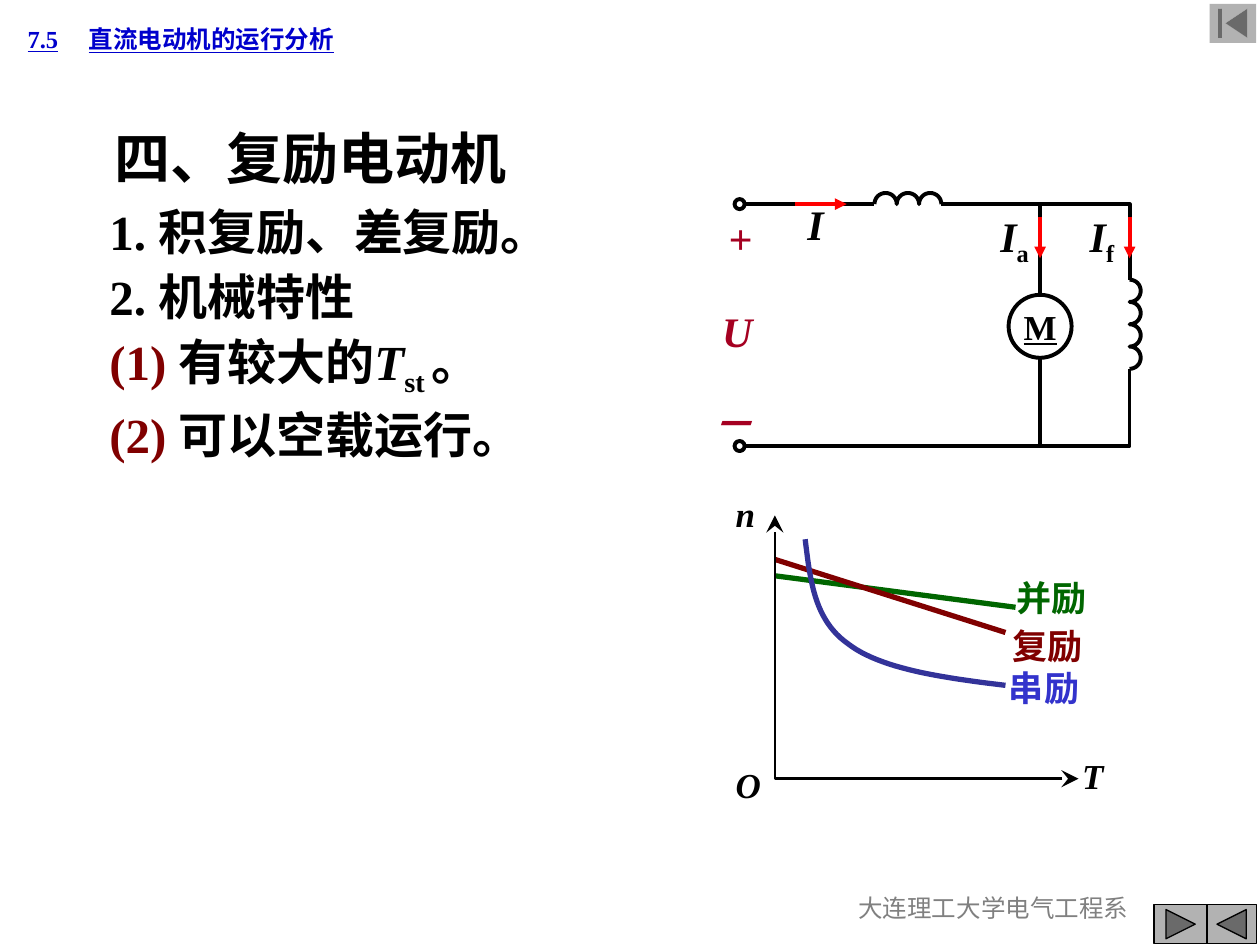
from math import cos, pi, sin

from lxml.etree import SubElement
from pptx import Presentation
from pptx.dml.color import RGBColor
from pptx.enum.shapes import MSO_CONNECTOR, MSO_SHAPE
from pptx.enum.text import MSO_ANCHOR, PP_ALIGN
from pptx.oxml.ns import qn
from pptx.util import Emu, Pt

COLS, ROWS = 100, 75
WIDE, HIGH = 9144000, 6858000
FACE = "Times New Roman"
HUES = {
    "ink": "000000", "link": "0000CC", "gray": "808080", "key": "B2B2B2",
    "mark": "800000", "volt": "A50021", "flow": "FF0000", "paper": "FFFFFF",
    "shunt": "006600", "curve": "333399", "series": "3333CC",
}


def hue(name):
    """Return a named colour."""
    return RGBColor.from_string(HUES[name])


def across(n):
    """Turn columns into a length."""
    return Emu(round(n * WIDE / COLS))


def down(n):
    """Turn rows into a length."""
    return Emu(round(n * HIGH / ROWS))


def frame(box):
    """Turn a grid box into lengths."""
    x, y, w, h = box
    return across(x), down(y), across(w), down(h)


def shift(box, x, y, w, h):
    """Place a part relative to a region."""
    return box[0] + x, box[1] + y, w, h


def style(font, size, tint, bold=True, slant=False, under=False):
    """Set the look of a font."""
    font.name, font.size, font.bold = FACE, Pt(size), bold
    font.italic, font.underline = slant, under
    font.color.rgb = hue(tint)


def write(text, lines, size, tint, gap=0, align=PP_ALIGN.LEFT, tab=None, **look):
    """Fill a text frame with lines of (words, traits) runs."""
    for n, line in enumerate(lines):
        para = text.paragraphs[0] if n == 0 else text.add_paragraph()
        para.alignment = align
        para.space_before = Pt(gap if n else 0)
        if tab:
            stops = SubElement(para._p.get_or_add_pPr(), qn("a:tabLst"))
            SubElement(stops, qn("a:tab"), pos=str(across(tab)), algn="l")
        style(para.font, size, tint, **look)
        for words, traits in line:
            run = para.add_run()
            run.text = words
            if "i" in traits:
                run.font.italic = True
            if "m" in traits:
                run.font.color.rgb = hue("mark")
            if "s" in traits:
                run._r.get_or_add_rPr().set("baseline", "-25000")


def note(slide, box, lines, size, tint, wrap=False, **look):
    """Add a text box."""
    if isinstance(lines, str):
        lines = [[(lines, "")]]
    text = slide.shapes.add_textbox(*frame(box)).text_frame
    text.word_wrap = wrap
    write(text, lines, size, tint, **look)
    return text


def tip(line, end, kind, size="med"):
    """Put an arrowhead on a line."""
    SubElement(line._get_or_add_ln(), qn("a:" + end), type=kind, w=size, len=size)


def trace(slide, box, points, tint="ink", width=2.25):
    """Draw an open outline through points of a region."""
    spots = [(across(box[0] + x), down(box[1] + y)) for x, y in points]
    pen = slide.shapes.build_freeform(*spots[0])
    pen.add_line_segments(spots[1:], close=False)
    shape = pen.convert_to_shape()
    shape.shadow.inherit = False
    shape.fill.background()
    shape.line.color.rgb, shape.line.width = hue(tint), Pt(width)
    return shape


def link(slide, box, start, end, tint, width, head=None):
    """Draw a straight line in a region."""
    line = slide.shapes.add_connector(
        MSO_CONNECTOR.STRAIGHT,
        across(box[0] + start[0]), down(box[1] + start[1]),
        across(box[0] + end[0]), down(box[1] + end[1]))
    line.line.color.rgb, line.line.width = hue(tint), Pt(width)
    SubElement(line._element.spPr, qn("a:effectLst"))
    if head:
        tip(line.line, "tailEnd", head)


def ring(slide, box, fill=None):
    """Draw a black circle."""
    shape = slide.shapes.add_shape(MSO_SHAPE.OVAL, *frame(box))
    shape.shadow.inherit = False
    shape.line.color.rgb, shape.line.width = hue("ink"), Pt(2.25)
    if fill:
        shape.fill.solid()
        shape.fill.fore_color.rgb = hue(fill)
    else:
        shape.fill.background()
    return shape


def coil(x, y, turns, size, upright):
    """List the points of a row of half circles."""
    spots, steps = [], 16
    for n in range(turns):
        for k in range(steps + 1):
            turn = pi * k / steps
            along = size * (n + (1 - cos(turn)) / 2)
            out = size * sin(turn) / 2
            spots.append((x + out, y + along) if upright else (x + along, y - out))
    return spots


def bend(a, b, c, d, steps=24):
    """List the points of a cubic curve."""
    def at(t, i):
        s = 1 - t
        return s**3 * a[i] + 3 * s * s * t * b[i] + 3 * s * t * t * c[i] + t**3 * d[i]
    return [(at(k / steps, 0), at(k / steps, 1)) for k in range(steps + 1)]


def outline(slide, box):
    """Place the heading and the numbered points."""
    title = slide.shapes.title
    title.left, title.top, title.width, title.height = frame(shift(box, 0.4, 0, 35.2, 6.4))
    title.text_frame.vertical_anchor = MSO_ANCHOR.TOP
    write(title.text_frame, [[("四、复励电动机", "")]], 32, "ink")
    note(slide, shift(box, 0, 6.2, 40.9, 21.8), [
        [("1. 积复励、差复励。", "")],
        [("2. 机械特性", "")],
        [("(1) ", "m"), ("有较大的", ""), ("T", "i"), ("st ", "s"), ("。", "")],
        [("(2) ", "m"), ("可以空载运行。", "")],
    ], 28, "ink", wrap=True, gap=3.5)


def circuit(slide, box):
    """Place the compound motor circuit."""
    top, base, mid, side = 1.2, 20.4, 27.55, 34.65
    turn = 1.77
    lead, start = 14.4, 7.2
    wires = [
        [(4.1, top), (lead, top)],
        coil(lead, top, 3, turn, False),
        [(lead + 3 * turn, top), (side, top), (side, start)],
        coil(side, start, 4, turn, True),
        [(side, start + 4 * turn), (side, base), (4.1, base)],
        [(mid, top), (mid, base)],
    ]
    for wire in wires:
        trace(slide, box, wire)
    for row in (top, base):
        ring(slide, shift(box, 3.3, row - 0.4, 0.8, 0.8))
    motor = ring(slide, shift(box, mid - 2.5, 8.4, 5, 5), "paper").text_frame
    motor.word_wrap, motor.vertical_anchor = False, MSO_ANCHOR.MIDDLE
    write(motor, [[("M", "")]], 20, "ink", align=PP_ALIGN.CENTER, under=True)
    link(slide, box, (8.1, top), (12.2, top), "flow", 2.25, "triangle")
    for col, left, sub in ((mid, 23.4, "a"), (side, 30.5, "f")):
        link(slide, box, (col, 2.2), (col, 5.5), "flow", 2.25, "triangle")
        note(slide, shift(box, left, 1.2, 4.5, 5.6), [[("I", "i"), (sub, "s")]],
             24, "ink", wrap=True)
    note(slide, shift(box, 8.1, 0.3, 3.3, 5), "I", 24, "ink", slant=True)
    note(slide, shift(box, 0.4, 1.4, 5.3, 19.7), [[(sign, "")] for sign in "+U－"],
         24, "volt", gap=24, align=PP_ALIGN.RIGHT, slant=True)


def graph(slide, box):
    """Place the speed and torque curves."""
    link(slide, box, (4.5, 6.7), (23.6, 9.2), "shunt", 3)
    link(slide, box, (4.5, 5.4), (22.8, 11.2), "mark", 3)
    knee = (10.3, 12.1)
    trace(slide, box, bend((6.9, 3.8), (7.3, 7), (7.6, 10.2), knee)
          + bend(knee, (12.9, 14.1), (17.8, 14.8), (22.8, 15.4))[1:], "curve", 3)
    axes = trace(slide, box, [(28.6, 22.8), (4.5, 22.8), (4.5, 1.9)], width=1.5)
    for end in ("headEnd", "tailEnd"):
        tip(axes.line, end, "stealth", "lg")
    names = [("并励", 22.7, 6.3, "shunt"), ("复励", 22.4, 10.1, "mark"),
             ("串励", 22.1, 13.4, "series")]
    for name, x, y, tint in names:
        note(slide, shift(box, x, y, 10, 4.4), name, 20, tint, wrap=True)
    for name, x, y in (("n", 0.4, -0.4), ("O", 0.4, 21.1), ("T", 27.9, 20.4)):
        note(slide, shift(box, x, y, 5, 4.4), name, 20, "ink", wrap=True, slant=True)


def button(slide, box, kind, edge=True):
    """Place a grey navigation button."""
    shape = slide.shapes.add_shape(kind, *frame(box))
    shape.shadow.inherit = False
    shape.fill.solid()
    shape.fill.fore_color.rgb = hue("key")
    if edge:
        shape.line.color.rgb, shape.line.width = hue("ink"), Pt(0.75)
    else:
        shape.line.fill.background()


def margin(slide, box):
    """Place the chapter line, the footer and the buttons."""
    head = note(slide, shift(box, 1.2, 1.4, 35.2, 3.4), "7.5\t直流电动机的运行分析",
                14, "link", wrap=True, tab=4.85, under=True)
    head.vertical_anchor = MSO_ANCHOR.MIDDLE
    note(slide, shift(box, 63, 70.4, 31.7, 5), "大连理工大学电气工程系",
         14, "gray", wrap=True, align=PP_ALIGN.CENTER, bold=False)
    button(slide, shift(box, 91.6, 71.8, 4.2, 3.1), MSO_SHAPE.ACTION_BUTTON_FORWARD_OR_NEXT)
    button(slide, shift(box, 95.8, 71.8, 3.9, 3.1), MSO_SHAPE.ACTION_BUTTON_BACK_OR_PREVIOUS)
    button(slide, shift(box, 96, 0.3, 3.7, 3.1), MSO_SHAPE.ACTION_BUTTON_BEGINNING, False)


def main():
    """Build the slide and save it."""
    deck = Presentation()
    deck.slide_width, deck.slide_height = Emu(WIDE), Emu(HIGH)
    slide = deck.slides.add_slide(deck.slide_layouts[5])
    margin(slide, (0, 0, COLS, ROWS))
    outline(slide, (7.7, 9.3, 41, 28))
    circuit(slide, (55, 15, 36, 21))
    graph(slide, (57, 39, 32, 26))
    deck.save("out.pptx")


if __name__ == "__main__":
    main()
